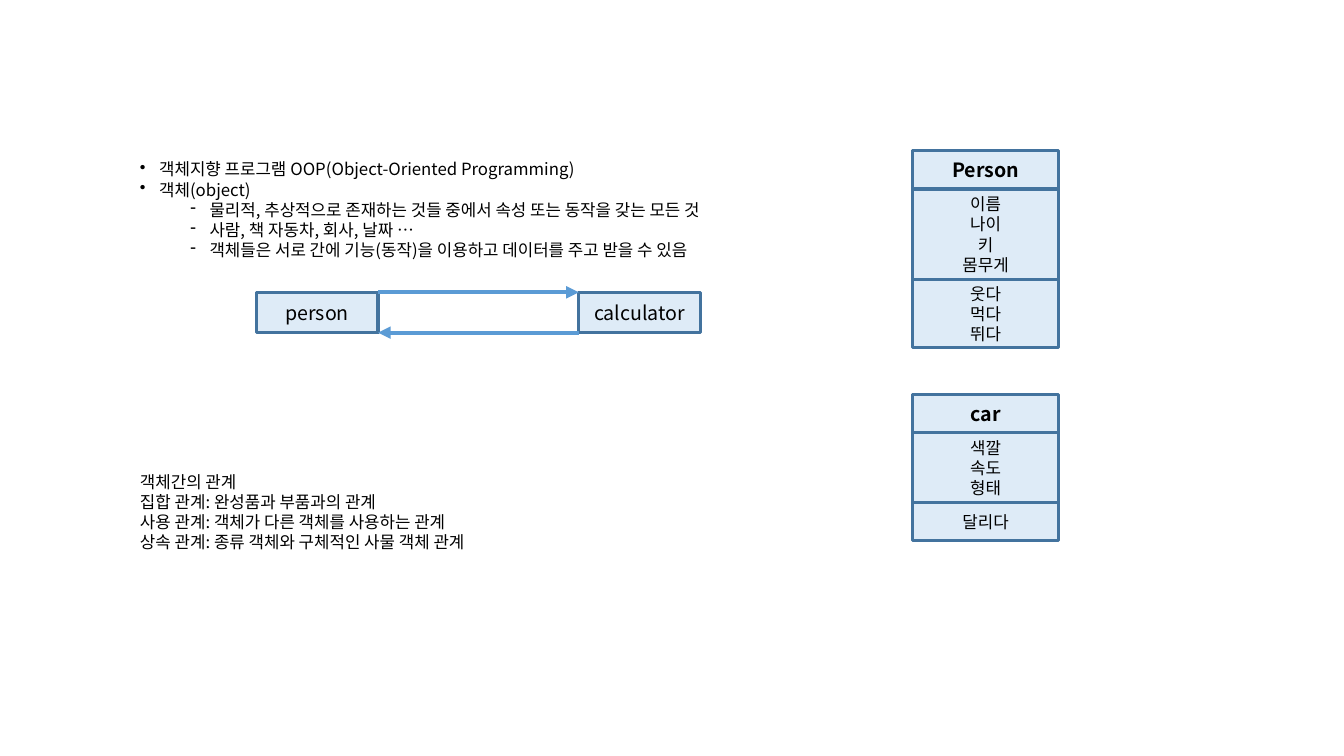
from pptx import Presentation
from pptx.dml.color import RGBColor
from pptx.enum.shapes import MSO_CONNECTOR, MSO_SHAPE
from pptx.enum.text import MSO_ANCHOR, MSO_AUTO_SIZE, PP_ALIGN
from pptx.oxml.ns import qn
from pptx.util import Inches, Pt
from lxml.etree import SubElement

# Content
NOTES = [
    (0, "객체지향 프로그램 OOP(Object-Oriented Programming)"),
    (0, "객체(object)"),
    (1, "물리적, 추상적으로 존재하는 것들 중에서 속성 또는 동작을 갖는 모든 것"),
    (1, "사람, 책 자동차, 회사, 날짜 …"),
    (1, "객체들은 서로 간에 기능(동작)을 이용하고 데이터를 주고 받을 수 있음"),
]
RELATIONS = [
    (None, "객체간의 관계"),
    (None, "집합 관계: 완성품과 부품과의 관계"),
    (None, "사용 관계: 객체가 다른 객체를 사용하는 관계"),
    (None, "상속 관계: 종류 객체와 구체적인 사물 객체 관계"),
]
# Class name, top, then (lines, height) of each compartment
CLASSES = [
    ("Person", 1.49, [(["이름", "나이", "키", "몸무게"], 0.9),
                      (["웃다", "먹다", "뛰다"], 0.67)]),
    ("car", 3.91, [(["색깔", "속도", "형태"], 0.69), (["달리다"], 0.38)]),
]
PARTNERS = [("person", 2.54), ("calculator", 5.74)]

# Style
FONT = "Noto Sans CJK KR"
COLORS = {"text": "000000", "fill": "DEEBF7", "border": "43739E", "arrow": "5B9BD5"}
BULLETS = [("•", 0.19), ("-", 0.69)]  # mark and left margin by level
HANGING = 0.19
CLASS_LEFT, CLASS_WIDTH, NAME_HEIGHT = 9.05, 1.45, 0.385
PARTNER_TOP, PARTNER_WIDTH, PARTNER_HEIGHT = 2.9, 1.21, 0.4


def color(name):
    return RGBColor.from_string(COLORS[name])


def add_line(para, text, size, bold=False):
    span = para.add_run()
    span.text = text
    span.font.size = Pt(size)
    span.font.bold = bold
    span.font.color.rgb = color("text")
    span.font.name = FONT
    SubElement(span.font._element, qn("a:ea"), typeface=FONT)


def paragraphs(frame, count):
    return [frame.paragraphs[0]] + [frame.add_paragraph() for _ in range(count - 1)]


def add_box(shapes, lines, left, top, width, height, size, bold=False):
    box = shapes.add_shape(MSO_SHAPE.RECTANGLE, Inches(left), Inches(top),
                           Inches(width), Inches(height))
    box.shadow.inherit = False
    box.fill.solid()
    box.fill.fore_color.rgb = color("fill")
    box.line.color.rgb = color("border")
    box.line.width = Pt(2.25)
    frame = box.text_frame
    frame.word_wrap = True
    frame.vertical_anchor = MSO_ANCHOR.MIDDLE
    for para, text in zip(paragraphs(frame, len(lines)), lines):
        para.alignment = PP_ALIGN.CENTER
        add_line(para, text, size, bold)


def add_arrow(shapes, start, end, y):
    arrow = shapes.add_connector(MSO_CONNECTOR.STRAIGHT, Inches(start), Inches(y),
                                 Inches(end), Inches(y))
    arrow.line.color.rgb = color("arrow")
    arrow.line.width = Pt(3)
    SubElement(arrow.line._get_or_add_ln(), qn("a:tailEnd"), type="triangle")
    SubElement(arrow._element.spPr, qn("a:effectLst"))


def add_text(shapes, items, left, top, width, height):
    box = shapes.add_textbox(Inches(left), Inches(top), Inches(width), Inches(height))
    frame = box.text_frame
    frame.word_wrap = True
    frame.auto_size = MSO_AUTO_SIZE.SHAPE_TO_FIT_TEXT
    for para, (level, text) in zip(paragraphs(frame, len(items)), items):
        if level is not None:
            mark, margin = BULLETS[level]
            para.level = level
            properties = para._p.get_or_add_pPr()
            properties.set("marL", str(Inches(margin)))
            properties.set("indent", str(-Inches(HANGING)))
            SubElement(properties, qn("a:buChar"), char=mark)
        add_line(para, text, 12)


deck = Presentation()
deck.slide_width, deck.slide_height = Inches(13.33), Inches(7.5)
page = deck.slides.add_slide(deck.slide_layouts[6])

# Two objects exchanging messages
exchange = page.shapes.add_group_shape().shapes
for name, left in PARTNERS:
    add_box(exchange, [name], left, PARTNER_TOP, PARTNER_WIDTH, PARTNER_HEIGHT, 14)
near, far = PARTNERS[0][1] + PARTNER_WIDTH, PARTNERS[1][1]
add_arrow(exchange, near, far, PARTNER_TOP)
add_arrow(exchange, far, near, PARTNER_TOP + PARTNER_HEIGHT)

# Class diagrams, compartments stacked downwards
for name, top, compartments in CLASSES:
    diagram = page.shapes.add_group_shape().shapes
    add_box(diagram, [name], CLASS_LEFT, top, CLASS_WIDTH, NAME_HEIGHT, 14, True)
    top += NAME_HEIGHT
    for lines, height in compartments:
        add_box(diagram, lines, CLASS_LEFT, top, CLASS_WIDTH, height, 12)
        top += height

# Explanations
add_text(page.shapes, RELATIONS, 1.29, 4.63, 5.87, 0.91)
add_text(page.shapes, NOTES, 1.29, 1.53, 6.63, 1.11)

deck.save("out.pptx")
